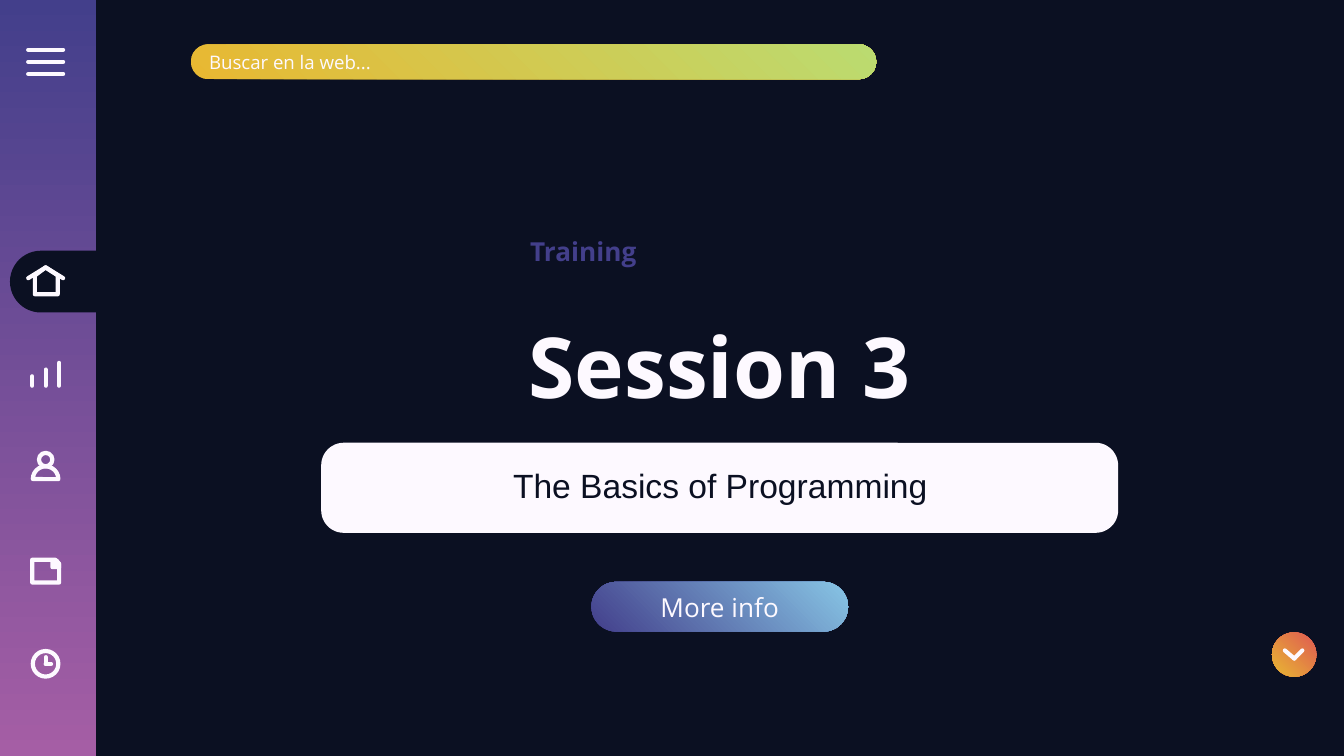
"""Build a dark web-style title slide with an icon sidebar."""
from dataclasses import dataclass
from typing import Any, NamedTuple, Optional

from lxml import etree
from pptx import Presentation
from pptx.dml.color import RGBColor
from pptx.enum.shapes import MSO_CONNECTOR, MSO_SHAPE
from pptx.enum.text import MSO_ANCHOR, PP_ALIGN
from pptx.oxml.ns import qn
from pptx.util import Inches, Pt

COLS, ROWS = 1000, 562.5
CELL = Inches(10) // COLS
STROKE = Pt(2.25)
FONT = "Open Sans"
LINE = MSO_CONNECTOR.STRAIGHT
RECT, ROUND, TAB = MSO_SHAPE.RECTANGLE, MSO_SHAPE.ROUNDED_RECTANGLE, MSO_SHAPE.ROUND_2_SAME_RECTANGLE
OVAL, PIE, SNIP = MSO_SHAPE.OVAL, MSO_SHAPE.PIE, MSO_SHAPE.SNIP_1_RECTANGLE
LEFT, CENTER = PP_ALIGN.LEFT, PP_ALIGN.CENTER
TOP, MIDDLE = MSO_ANCHOR.TOP, MSO_ANCHOR.MIDDLE

COLORS = {
    "night": "0B1022", "white": "FDF9FF", "indigo": "433F8B", "violet": "A55EA5",
    "amber": "E8B832", "lime": "BBDB70", "sky": "87C5E5", "coral": "DF5953",
}


class Box(NamedTuple):
    col: float
    row: float
    cols: float
    rows: float


class Stroke(NamedTuple):
    col1: float
    row1: float
    col2: float
    row2: float


class Outline(NamedTuple):
    points: tuple[tuple[float, float], ...]
    fill: tuple[str, ...] = ()


@dataclass(frozen=True)
class Panel:
    kind: Any
    box: Box
    fill: tuple[str, ...] = ()
    angle: float = 45
    adj: tuple[float, ...] = ()
    rotation: float = 0
    outlined: bool = False


@dataclass(frozen=True)
class Label:
    text: str
    size: float
    color: tuple[str, ...] = ("white",)
    font: str = FONT
    bold: bool = False
    align: Any = CENTER
    anchor: Any = MIDDLE
    inset: tuple[float, float] = (10, 10)
    spacing: Optional[float] = None


SIDEBAR = Panel(RECT, Box(0, 0, 71.4, ROWS), ("indigo", "violet"), 270)
CARD = Panel(ROUND, Box(239, 329.5, 593, 67), ("white",), adj=(0.25,))
ACTIVE_TAB = Panel(TAB, Box(20.4, 173.5, 46, 72), ("night",), adj=(0.5, 0), rotation=270)
SEARCH = Panel(ROUND, Box(142, 33, 510, 26), ("amber", "lime"), adj=(0.5,))
BUTTON = Panel(ROUND, Box(440, 433, 191, 37), ("indigo", "sky"), adj=(0.5,))
SCROLL = Panel(OVAL, Box(946.4, 470.5, 33, 33), ("coral", "amber"), rotation=180)

MENU = [Stroke(21, row, 47, row) for row in (37, 46, 55)]
HOME = [
    *(Stroke(col, 207, 34, 199) for col in (21, 47)),
    Outline(((26, 205), (26, 219), (43, 219), (43, 205), (34, 199))),
]
BARS = [Stroke(24 + 10 * i, 280 - 5 * i, 24 + 10 * i, 287) for i in range(3)]
PERSON = [
    Panel(OVAL, Box(29, 337, 10, 10), outlined=True),
    Panel(PIE, Box(24.4, 347, 19, 19), adj=(54.33, 162), rotation=90, outlined=True),
]
NOTE = [
    Panel(SNIP, Box(24, 416.5, 20, 17), adj=(0.17,), outlined=True),
    Outline(((39, 417), (42, 417), (44, 420), (44, 422), (39, 422)), ("white",)),
]
CLOCK = [
    Panel(OVAL, Box(24.4, 484.4, 19, 19), outlined=True),
    Stroke(34, 489, 34, 494),
    Stroke(38, 494, 34, 494),
]
CHEVRON = [Stroke(963, 490, col, 484) for col in (956, 969)]

TITLES = [
    (Box(197, 225, 677, 93), Label("Session 3", 45, bold=True)),
    (Box(251, 335.4, 570, 55), Label("The Basics of Programming", 18, ("night",), "Arial", spacing=0.9)),
]
KICKER = (Box(288, 170, 292, 71),
          Label("Training", 14, ("indigo", "violet"), bold=True, anchor=TOP, inset=(10, 5)))


def rgb(name: str) -> RGBColor:
    """Look up a named colour."""
    return RGBColor.from_string(COLORS[name])


def grid(cells: tuple[float, ...]) -> list[int]:
    """Turn grid cells into slide lengths."""
    return [int(c * CELL) for c in cells]


def paint(fill: Any, names: tuple[str, ...], angle: float) -> None:
    """Apply no fill, a solid or a two-stop gradient."""
    if not names:
        fill.background()
    elif len(names) == 1:
        fill.solid()
        fill.fore_color.rgb = rgb(names[0])
    else:
        fill.gradient()
        fill.gradient_angle = angle
        for stop, name, pos in zip(fill.gradient_stops, names, (0, 1)):
            stop.color.rgb = rgb(name)
            stop.position = pos


def style_line(sp: Any) -> None:
    """Give a shape the white stroke with round ends."""
    sp.line.color.rgb = rgb("white")
    sp.line.width = STROKE
    ln = sp._element.spPr.find(qn("a:ln"))
    ln.set("cap", "rnd")
    etree.SubElement(ln, qn("a:round"))


def draw_panel(shapes: Any, panel: Panel) -> Any:
    """Draw a preset shape."""
    sp = shapes.add_shape(panel.kind, *grid(panel.box))
    sp.shadow.inherit = False
    sp.rotation = panel.rotation
    for i, value in enumerate(panel.adj):
        sp.adjustments[i] = value
    paint(sp.fill, panel.fill, panel.angle)
    if panel.outlined:
        style_line(sp)
    else:
        sp.line.fill.background()
    return sp


def draw_stroke(shapes: Any, stroke: Stroke) -> None:
    """Draw a straight line."""
    sp = shapes.add_connector(LINE, *grid(stroke))
    style_line(sp)
    etree.SubElement(sp._element.spPr, qn("a:effectLst"))


def draw_outline(shapes: Any, outline: Outline) -> None:
    """Draw a closed polygon."""
    start, *rest = outline.points
    builder = shapes.build_freeform(*start, scale=CELL)
    builder.add_line_segments(rest, close=True)
    sp = builder.convert_to_shape()
    sp.shadow.inherit = False
    paint(sp.fill, outline.fill, 0)
    style_line(sp)


def draw_icon(shapes: Any, parts: list[Any]) -> None:
    """Draw the parts of an icon as one group."""
    group = shapes.add_group_shape().shapes
    draw = {Panel: draw_panel, Stroke: draw_stroke, Outline: draw_outline}
    for part in parts:
        draw[type(part)](group, part)


def write(sp: Any, label: Label) -> None:
    """Fill a shape with formatted text."""
    tf = sp.text_frame
    tf.word_wrap = True
    tf.vertical_anchor = label.anchor
    side, edge = grid(label.inset)
    tf.margin_left = tf.margin_right = side
    tf.margin_top = tf.margin_bottom = edge
    tf.text = label.text
    p = tf.paragraphs[0]
    p.alignment = label.align
    p.line_spacing = label.spacing
    font = p.runs[0].font
    font.size, font.name, font.bold = Pt(label.size), label.font, label.bold
    paint(font.fill, label.color, 0)


def main() -> None:
    """Assemble and save the slide."""
    prs = Presentation()
    prs.slide_width, prs.slide_height = grid((COLS, ROWS))
    s = prs.slides.add_slide(prs.slide_layouts[6])
    paint(s.background.fill, ("night",), 0)
    for panel in (SIDEBAR, CARD, ACTIVE_TAB):
        draw_panel(s.shapes, panel)
    for box, label in TITLES:
        write(s.shapes.add_textbox(*grid(box)), label)
    draw_icon(s.shapes, MENU)
    write(draw_panel(s.shapes, SEARCH), Label("Buscar en la web...", 10, align=LEFT))
    for icon in (HOME, BARS, PERSON, NOTE, CLOCK):
        draw_icon(s.shapes, icon)
    write(draw_panel(s.shapes, BUTTON), Label("More info", 14))
    draw_panel(s.shapes, SCROLL)
    draw_icon(s.shapes, CHEVRON)
    box, label = KICKER
    write(s.shapes.add_textbox(*grid(box)), label)
    prs.save("out.pptx")


if __name__ == "__main__":
    main()
